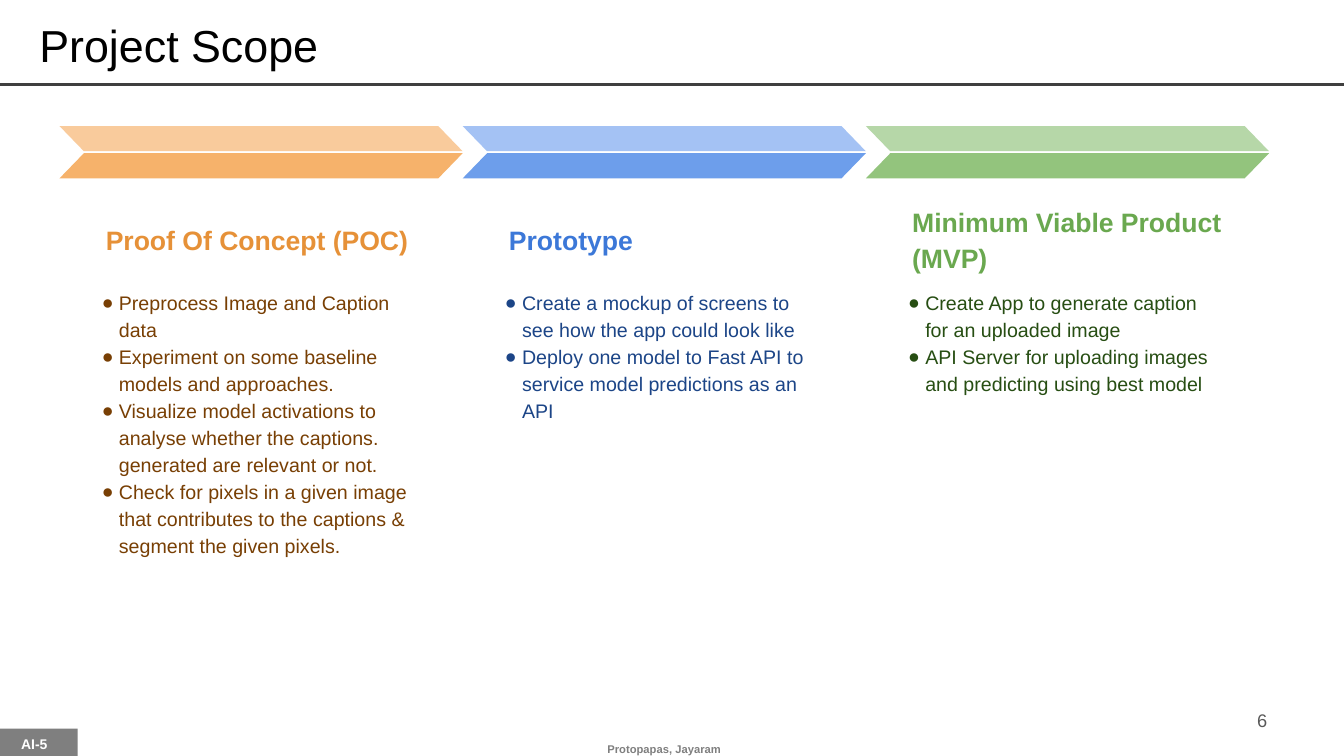
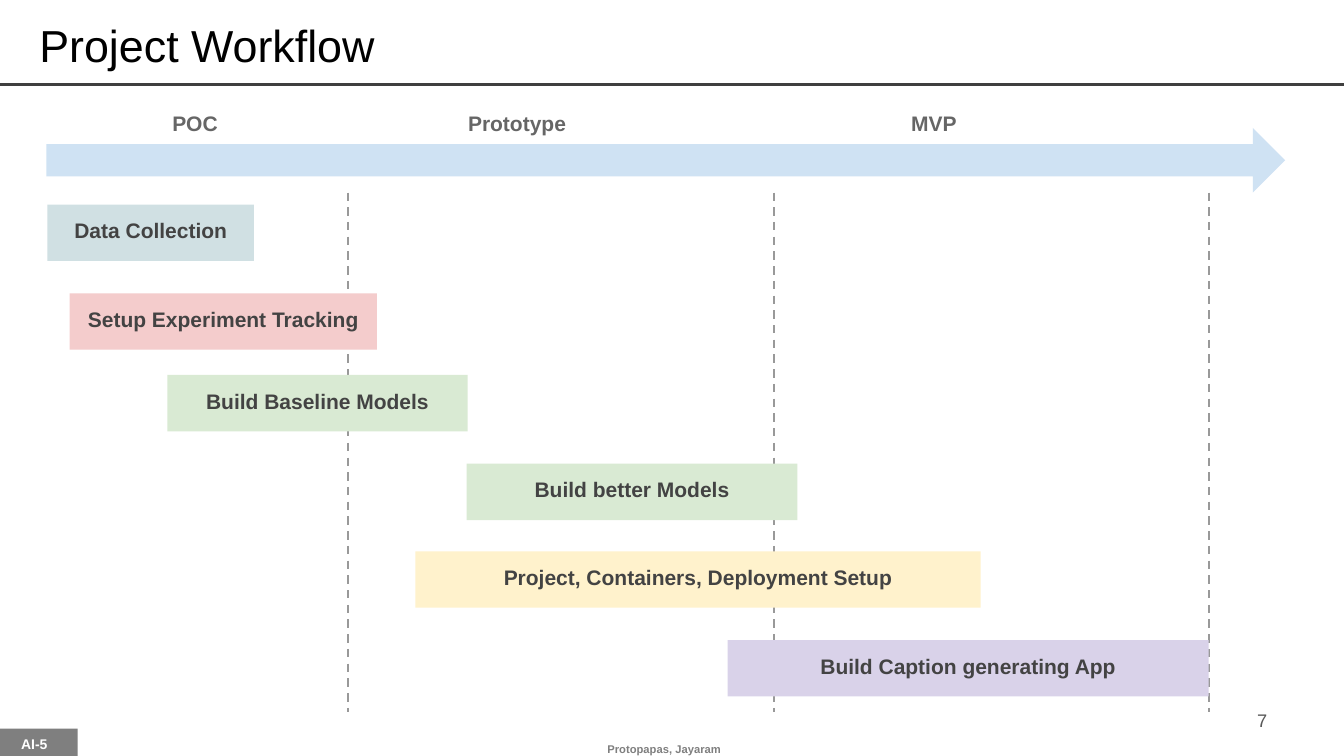
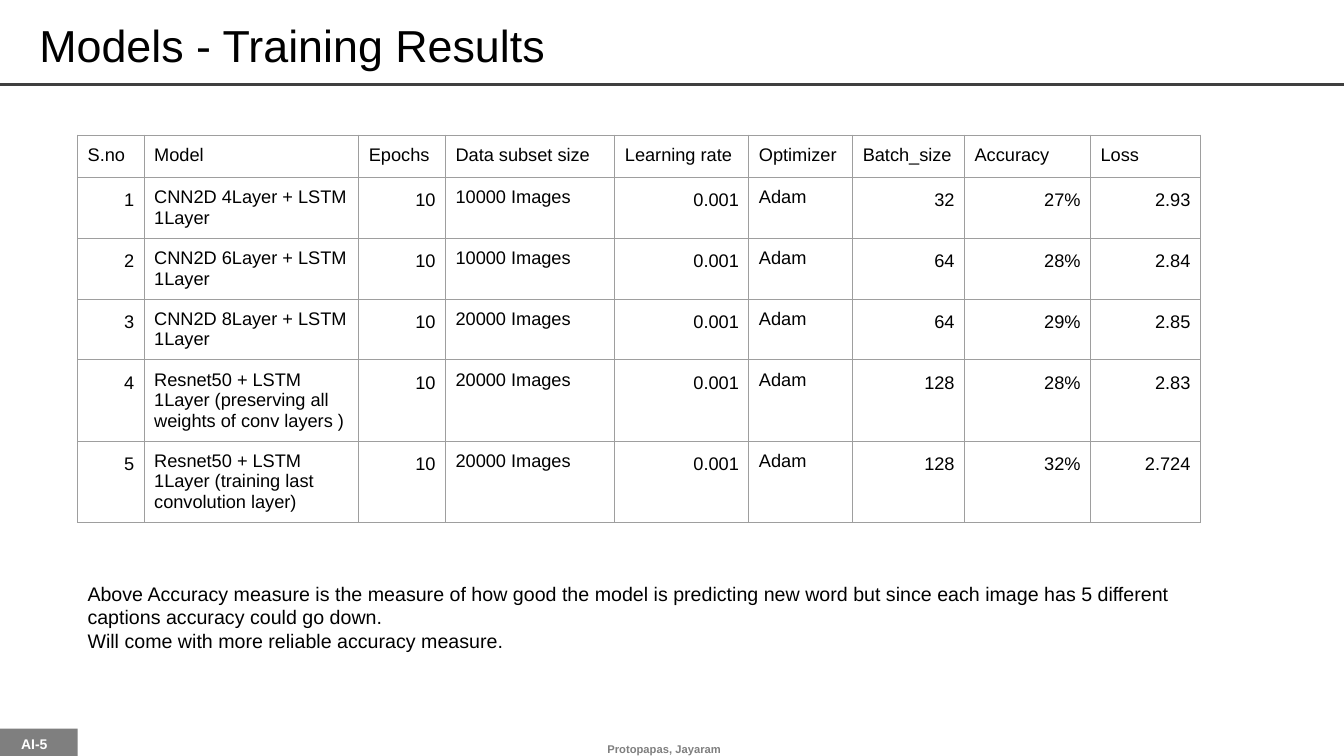
"""Build three project slides: scope, workflow and training results."""
import dataclasses
import typing

import lxml.etree
import pptx
import pptx.dml.color
import pptx.enum.dml
import pptx.enum.shapes
import pptx.enum.text
import pptx.oxml.ns
import pptx.util

CELL = pptx.util.Inches(0.1)
COLUMNS = 400 / 3
ROWS = 75
FONT = "Arial"
BLACK = "000000"
GRAY = "7F7F7F"
BORDER = "9E9E9E"

ALIGN = pptx.enum.text.PP_ALIGN
ANCHOR = pptx.enum.text.MSO_ANCHOR
PRESET = pptx.enum.shapes.MSO_SHAPE


@dataclasses.dataclass(frozen=True)
class Area:
    """A rectangle measured in grid columns and rows."""
    left: float
    top: float
    width: float
    height: float

    def lengths(self) -> list[int]:
        """Return the four lengths in slide units."""
        return [grid(value) for value in dataclasses.astuple(self)]


@dataclasses.dataclass(frozen=True)
class Style:
    """How a text is set, with insets in grid units."""
    size: float
    color: str = BLACK
    bold: bool = False
    align: typing.Any = ALIGN.LEFT
    anchor: typing.Any = ANCHOR.TOP
    inset: float = 1
    spacing: float = 1.0
    bullet: str = ""


@dataclasses.dataclass(frozen=True)
class Phase:
    """A project phase with its colours and goals."""
    name: str
    upper: str
    lower: str
    heading: str
    body: str
    goals: list[str]


@dataclasses.dataclass(frozen=True)
class Task:
    """A bar of the workflow."""
    name: str
    left: float
    top: float
    width: float
    color: str


TITLE = Style(32, anchor=ANCHOR.MIDDLE, inset=0.5, spacing=0.9)
TAG = Style(10, "FFFFFF", True, ALIGN.CENTER, inset=0.5, spacing=0.9)
FOOTER = Style(8, GRAY, True, ALIGN.CENTER, ANCHOR.MIDDLE, 0)
NUMBER = Style(13, "595959", align=ALIGN.RIGHT, anchor=ANCHOR.MIDDLE)
MILESTONE = Style(15, "666666", True, ALIGN.CENTER, ANCHOR.MIDDLE, 0)
TASK = Style(15, "434343", True, ALIGN.CENTER, inset=1.3)
CELL_TEXT = Style(13)
CELL_NUMBER = Style(13, align=ALIGN.RIGHT, spacing=1.15)

PHASES = [
    Phase("Proof Of Concept (POC)", "F9CB9C", "F6B26B", "E69138", "783F04", [
        "Preprocess Image and Caption data",
        "Experiment on some baseline models and approaches.",
        "Visualize model activations to analyse whether the captions. generated are relevant or not.",
        "Check for pixels in a given image that contributes to the captions & segment the given pixels.",
    ]),
    Phase("Prototype", "A4C2F4", "6D9EEB", "3C78D8", "1C4587", [
        "Create a mockup of screens to see how the app could look like",
        "Deploy one model to Fast API to service model predictions as an API",
    ]),
    Phase("Minimum Viable Product (MVP)", "B6D7A8", "93C47D", "6AA84F", "274E13", [
        "Create App to generate caption for an uploaded image",
        "API Server for uploading images and predicting using best model",
    ]),
]
MILESTONES = {"POC": 19.35, "Prototype": 51.3, "MVP": 92.65}
DIVIDERS = [34.55, 76.75, 119.95]
TASKS = [
    Task("Data Collection", 4.7, 20.3, 20.5, "D0E0E3"),
    Task("Setup Experiment Tracking", 6.9, 29.1, 30.5, "F4CCCC"),
    Task("Build Baseline Models", 16.6, 37.2, 29.8, "D9EAD3"),
    Task("Build better Models", 46.3, 46, 32.8, "D9EAD3"),
    Task("Project, Containers, Deployment Setup", 41.2, 54.7, 56.1, "FFF2CC"),
    Task("Build Caption generating App", 72.2, 63.5, 47.7, "D9D2E9"),
]
TABLE_COLUMNS = {
    "S.no": 6.6, "Model": 21.3, "Epochs": 8.6, "Data subset size": 16.8, "Learning rate": 13.3,
    "Optimizer": 10.3, "Batch_size": 11.1, "Accuracy": 12.5, "Loss": 10.9,
}
TEXT_COLUMNS = {"Model", "Data subset size", "Optimizer"}
RESULTS = [
    ("CNN2D 4Layer + LSTM 1Layer", "10000 Images", "32", "27%", "2.93"),
    ("CNN2D 6Layer + LSTM 1Layer", "10000 Images", "64", "28%", "2.84"),
    ("CNN2D 8Layer + LSTM 1Layer", "20000 Images", "64", "29%", "2.85"),
    ("Resnet50 + LSTM 1Layer (preserving all weights of conv layers )", "20000 Images", "128", "28%", "2.83"),
    ("Resnet50 + LSTM 1Layer (training last convolution layer)", "20000 Images", "128", "32%", "2.724"),
]
REMARKS = [
    "Above Accuracy measure is the measure of how good the model is predicting new word "
    "but since each image has 5 different captions accuracy could go down.",
    "Will come with more reliable accuracy measure.",
]


def grid(value: float) -> int:
    """Turn grid units into slide units."""
    return round(value * CELL)


def rgb(color: str) -> pptx.dml.color.RGBColor:
    """Turn a hex string into a colour."""
    return pptx.dml.color.RGBColor.from_string(color)


def add_element(parent: typing.Any, tag: str, **attributes: str) -> typing.Any:
    """Append a drawing element to a parent."""
    return lxml.etree.SubElement(parent, pptx.oxml.ns.qn(tag), attributes)


def add_bullet(paragraph: typing.Any, color: str, bullet: str) -> None:
    """Give a paragraph a hanging bullet."""
    properties = paragraph._p.get_or_add_pPr()
    properties.set("marL", str(grid(1.7)))
    properties.set("indent", str(grid(-1.8)))
    add_element(add_element(properties, "a:buClr"), "a:srgbClr", val=color)
    add_element(properties, "a:buFont", typeface=FONT)
    add_element(properties, "a:buChar", char=bullet)


def write_text(frame: typing.Any, lines: list[str], style: Style) -> None:
    """Write one paragraph per line in a style."""
    for index, line in enumerate(lines):
        paragraph = frame.add_paragraph() if index else frame.paragraphs[0]
        paragraph.alignment = style.align
        paragraph.line_spacing = style.spacing
        if style.bullet:
            add_bullet(paragraph, style.color, style.bullet)
        run = paragraph.add_run()
        run.text = line
        run.font.name = FONT
        run.font.size = pptx.util.Pt(style.size)
        run.font.bold = style.bold
        run.font.color.rgb = rgb(style.color)


def fill_frame(shape: typing.Any, lines: list[str], style: Style, side: float | None = None) -> None:
    """Set up the text frame of a shape and write in it."""
    frame = shape.text_frame
    frame.word_wrap = True
    frame.auto_size = pptx.enum.text.MSO_AUTO_SIZE.NONE
    frame.vertical_anchor = style.anchor
    frame.margin_top = frame.margin_bottom = grid(style.inset)
    frame.margin_left = frame.margin_right = grid(style.inset if side is None else side)
    write_text(frame, lines, style)


def add_text(slide: typing.Any, area: Area, lines: list[str], style: Style) -> None:
    """Add a text box."""
    fill_frame(slide.shapes.add_textbox(*area.lengths()), lines, style)


def add_shape(slide: typing.Any, preset: typing.Any, area: Area, color: str) -> typing.Any:
    """Add a plain filled shape."""
    shape = slide.shapes.add_shape(preset, *area.lengths())
    shape.shadow.inherit = False
    shape.fill.solid()
    shape.fill.fore_color.rgb = rgb(color)
    shape.line.fill.background()
    return shape


def add_line(slide: typing.Any, start: tuple[float, float], end: tuple[float, float],
             color: str, width: float) -> typing.Any:
    """Add a straight line without shadow."""
    points = [grid(value) for value in (*start, *end)]
    connector = slide.shapes.add_connector(pptx.enum.shapes.MSO_CONNECTOR.STRAIGHT, *points)
    connector.line.color.rgb = rgb(color)
    connector.line.width = pptx.util.Pt(width)
    add_element(connector._element.spPr, "a:effectLst")
    return connector


def add_slide(presentation: typing.Any, title: str, number: str = "") -> typing.Any:
    """Add a slide with the shared title, rule and footer."""
    slide = presentation.slides.add_slide(presentation.slide_layouts[5])
    add_line(slide, (0, 8.4), (COLUMNS, 8.4), "3F3F3F", 2.25)
    add_shape(slide, PRESET.RECTANGLE, Area(0, 72.3, 7.7, ROWS - 72.3), GRAY)
    add_text(slide, Area(0, 72.7, 6.8, ROWS - 72.7), ["AI-5"], TAG)
    add_text(slide, Area(49.5, 73.6, 32.8, ROWS - 73.6), ["Protopapas, Jayaram"], FOOTER)
    heading = slide.shapes.title
    heading.left, heading.top, heading.width, heading.height = Area(2.9, 1, 117.9, 7.5).lengths()
    fill_frame(heading, [title], TITLE, side=1)
    if number:
        add_text(slide, Area(95.6, 69.5, 31.1, 4), [number], NUMBER)
    return slide


def add_phase(slide: typing.Any, phase: Phase, left: float) -> None:
    """Add one phase: chevron, heading and goals."""
    for top, color in ((12.5, phase.upper), (15.2, phase.lower)):
        band = add_shape(slide, PRESET.PARALLELOGRAM, Area(left, top, 40, 2.5), color)
        band.adjustments[0] = 0.97
        if color == phase.upper:
            band._element.spPr.xfrm.set("flipH", "1")
    heading = Style(19, phase.heading, True, anchor=ANCHOR.MIDDLE, inset=1.3, spacing=1.15)
    body = Style(14, phase.body, inset=1.3, spacing=1.15, bullet="●")
    add_text(slide, Area(left + 3.3, 19.3, 33.7, 8.5), [phase.name], heading)
    add_text(slide, Area(left + 2.9, 27.2, 33.7, 41.2), phase.goals, body)


def build_scope(presentation: typing.Any) -> None:
    """Build the scope slide."""
    slide = add_slide(presentation, "Project Scope", "6")
    for index, phase in enumerate(PHASES):
        add_phase(slide, phase, 5.9 + 40 * index)


def build_workflow(presentation: typing.Any) -> None:
    """Build the workflow slide."""
    slide = add_slide(presentation, "Project Workflow", "7")
    for column in DIVIDERS:
        divider = add_line(slide, (column, 19.1), (column, 70.6), "999999", 1.5)
        divider.line.dash_style = pptx.enum.dml.MSO_LINE.DASH
    add_shape(slide, PRESET.RIGHT_ARROW, Area(4.6, 12.7, 122.9, 6.4), "CFE2F3")
    for name, center in MILESTONES.items():
        add_text(slide, Area(center - 6.2, 10.9, 12.4, 2.7), [name], MILESTONE)
    for task in TASKS:
        bar = add_shape(slide, PRESET.RECTANGLE, Area(task.left, task.top, task.width, 5.6), task.color)
        fill_frame(bar, [task.name], TASK)


def format_cell(cell: typing.Any, text: str, style: Style) -> None:
    """Border a table cell and write in it."""
    cell.margin_left = cell.margin_right = cell.margin_top = cell.margin_bottom = grid(style.inset)
    properties = cell._tc.get_or_add_tcPr()
    for side in ("a:lnL", "a:lnR", "a:lnT", "a:lnB"):
        line = add_element(properties, side, w=str(pptx.util.Pt(0.75)))
        add_element(add_element(line, "a:solidFill"), "a:srgbClr", val=BORDER)
    cell.fill.background()
    write_text(cell.text_frame, [text], style)


def build_results(presentation: typing.Any) -> None:
    """Build the training results slide."""
    slide = add_slide(presentation, "Models - Training Results")
    rows = [tuple(TABLE_COLUMNS)]
    for index, (model, subset, batch, accuracy, loss) in enumerate(RESULTS, 1):
        rows.append((str(index), model, "10", subset, "0.001", "Adam", batch, accuracy, loss))
    area = Area(7.7, 13.4, sum(TABLE_COLUMNS.values()), 4.2 * len(rows))
    table = slide.shapes.add_table(len(rows), len(TABLE_COLUMNS), *area.lengths()).table
    table.first_row = table.horz_banding = False
    for column, width in zip(table.columns, TABLE_COLUMNS.values()):
        column.width = grid(width)
    for row_index, row in enumerate(rows):
        for column_index, (name, text) in enumerate(zip(TABLE_COLUMNS, row)):
            plain = row_index == 0 or name in TEXT_COLUMNS
            format_cell(table.cell(row_index, column_index), text, CELL_TEXT if plain else CELL_NUMBER)
    add_text(slide, Area(7.7, 56.7, 111.3, 9.1), REMARKS, Style(14))


def main() -> None:
    """Build and save the presentation."""
    presentation = pptx.Presentation()
    presentation.slide_width = grid(COLUMNS)
    presentation.slide_height = grid(ROWS)
    build_scope(presentation)
    build_workflow(presentation)
    build_results(presentation)
    presentation.save("out.pptx")


if __name__ == "__main__":
    main()
